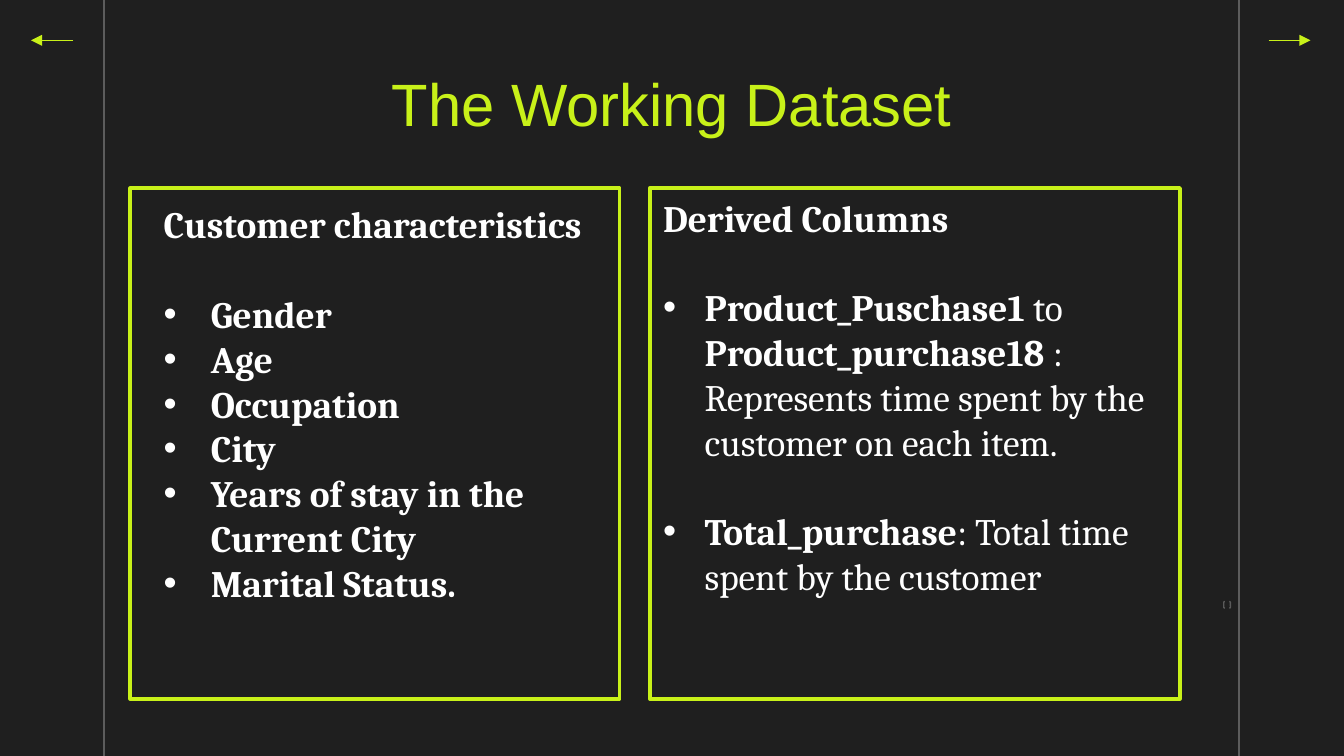
"""Build the slide "The Working Dataset" with two outlined text panels."""
from lxml.etree import SubElement
from pptx import Presentation
from pptx.dml.color import RGBColor as Color
from pptx.enum.shapes import MSO_CONNECTOR as Connector, MSO_SHAPE as Preset
from pptx.enum.text import MSO_ANCHOR as Anchor, PP_ALIGN as Align
from pptx.oxml.ns import qn
from pptx.util import Emu, Pt

PX = 4572
THEME = {
    "background": Color.from_string("1F1F1F"),
    "accent": Color.from_string("C8F119"),
    "guide": Color.from_string("5C5C5C"),
    "bracket": Color.from_string("5A5A5A"),
    "text": Color.from_string("FFFFFF"),
    "title_font": "Arial",
    "body_font": "Cambria",
    "title_size": Pt(32),
    "body_size": Pt(20),
    "blank_line": Pt(24),
    "thin": Pt(0.75),
    "frame": Pt(2),
}


def px(*lengths):
    return [Emu(length * PX) for length in lengths]


def add_line(shapes, ends, color, arrow=False):
    line = shapes.add_connector(Connector.STRAIGHT, *px(*ends))
    line.line.color.rgb = color
    line.line.width = THEME["thin"]
    properties = line._element.spPr
    if arrow:
        SubElement(properties.find(qn("a:ln")), qn("a:tailEnd"), type="triangle")
    SubElement(properties, qn("a:effectLst"))


presentation = Presentation()
presentation.slide_width, presentation.slide_height = px(2000, 1125)
slide = presentation.slides.add_slide(presentation.slide_layouts[6])
slide.background.fill.solid()
slide.background.fill.fore_color.rgb = THEME["background"]
shapes = slide.shapes

for x in (155, 1844):
    add_line(shapes, (x, 0, x, 1125), THEME["guide"])
for start, end in ((1888, 1950), (109, 46)):
    add_line(shapes, (start, 60, end, 60), THEME["accent"], arrow=True)

bracket = shapes.add_shape(Preset.DOUBLE_BRACKET, *px(1821, 895, 10, 10))
bracket.shadow.inherit = False
bracket.fill.background()
bracket.line.color.rgb = THEME["bracket"]
bracket.line.width = THEME["thin"]

title = shapes.add_textbox(*px(152, 90, 1696, 128))
title.text_frame.word_wrap = True
paragraph = title.text_frame.paragraphs[0]
paragraph.text = "The Working Dataset"
paragraph.alignment = Align.CENTER
paragraph.font.name = THEME["title_font"]
paragraph.font.size = THEME["title_size"]
paragraph.font.color.rgb = THEME["accent"]

characteristics = ["Gender", "Age", "Occupation", "City",
                   "Years of stay in the Current City", "Marital Status."]
derived_columns = [
    [("Product_Puschase1 ", True), ("to ", False), ("Product_purchase18 ", True),
     (": Represents time spent by the customer on each item.", False)],
    [("Total_purchase", True), (": Total time spent by the customer", False)],
]
panels = [
    {"left": 194, "width": 728, "inset": 20, "heading": "Customer characteristics",
     "heading_indent": 30, "indent": 100, "hanging": 70, "spaced_items": 1,
     "items": [[(name, True)] for name in characteristics]},
    {"left": 967, "width": 789, "inset": 10, "heading": "Derived Columns",
     "heading_indent": 0, "indent": 62, "hanging": 62, "spaced_items": 2,
     "items": derived_columns},
]

for panel in panels:
    shape = shapes.add_shape(Preset.RECTANGLE, *px(panel["left"], 280, panel["width"], 760))
    shape.shadow.inherit = False
    shape.fill.background()
    shape.line.color.rgb = THEME["accent"]
    shape.line.width = THEME["frame"]
    frame = shape.text_frame
    frame.word_wrap = True
    frame.vertical_anchor = Anchor.TOP
    frame.margin_left, frame.margin_right = px(20, 20)
    frame.margin_top, frame.margin_bottom = px(panel["inset"], panel["inset"])

    for index, runs in enumerate([[(panel["heading"], True)], *panel["items"]]):
        paragraph = frame.paragraphs[0] if index == 0 else frame.add_paragraph()
        properties = paragraph._p.get_or_add_pPr()
        indent, hanging = panel["heading_indent"], 0
        if index:
            indent, hanging = panel["indent"], panel["hanging"]
            bullet_color = SubElement(properties, qn("a:buClr"))
            SubElement(bullet_color, qn("a:srgbClr"), val=str(THEME["text"]))
            SubElement(properties, qn("a:buFont"), typeface=THEME["title_font"])
            SubElement(properties, qn("a:buChar"), char="•")
        properties.set("marL", str(indent * PX))
        properties.set("indent", str(-hanging * PX))
        paragraph.alignment = Align.LEFT
        paragraph.font.name = THEME["body_font"]
        paragraph.font.size = THEME["body_size"]
        paragraph.font.color.rgb = THEME["text"]
        if 1 <= index <= panel["spaced_items"]:
            paragraph.space_before = THEME["blank_line"]
        if len(runs) == 1:
            paragraph.font.bold = runs[0][1]
        for text, bold in runs:
            run = paragraph.add_run()
            run.text = text
            if len(runs) > 1:
                run.font.bold = bold

presentation.save("out.pptx")
